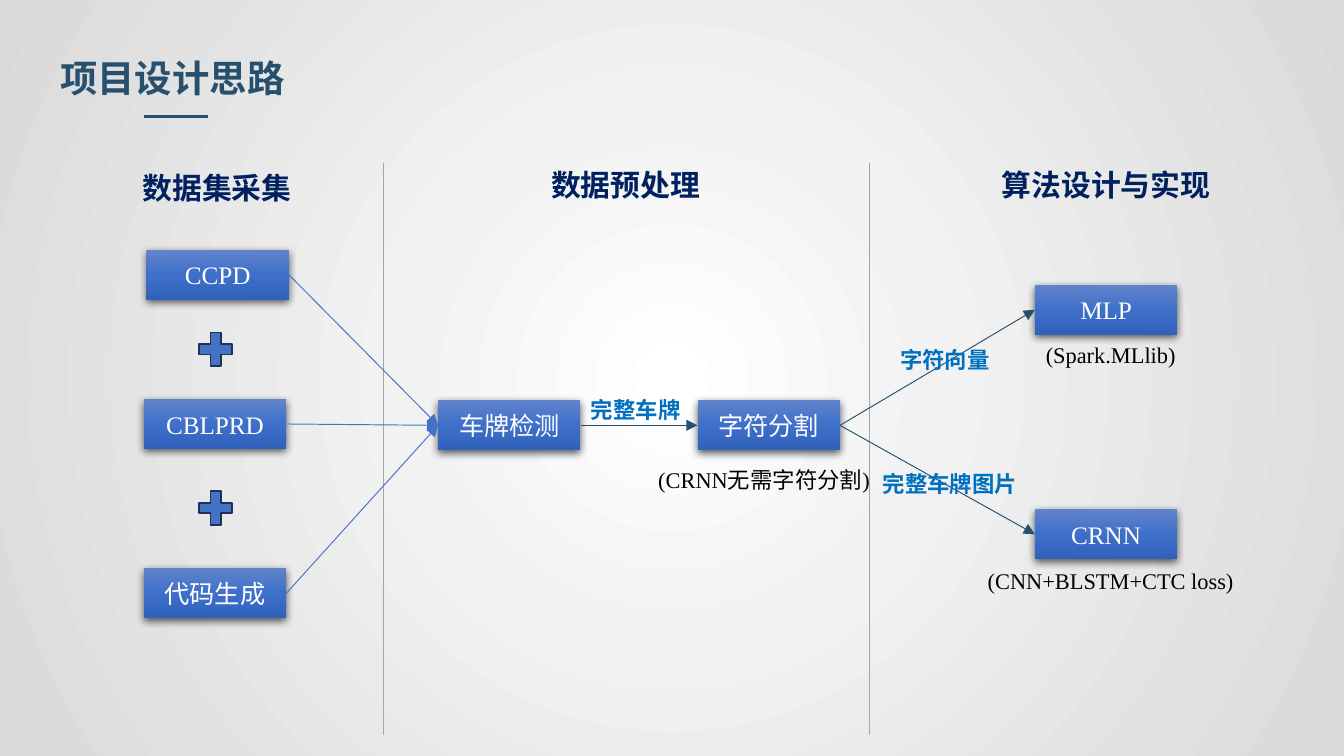
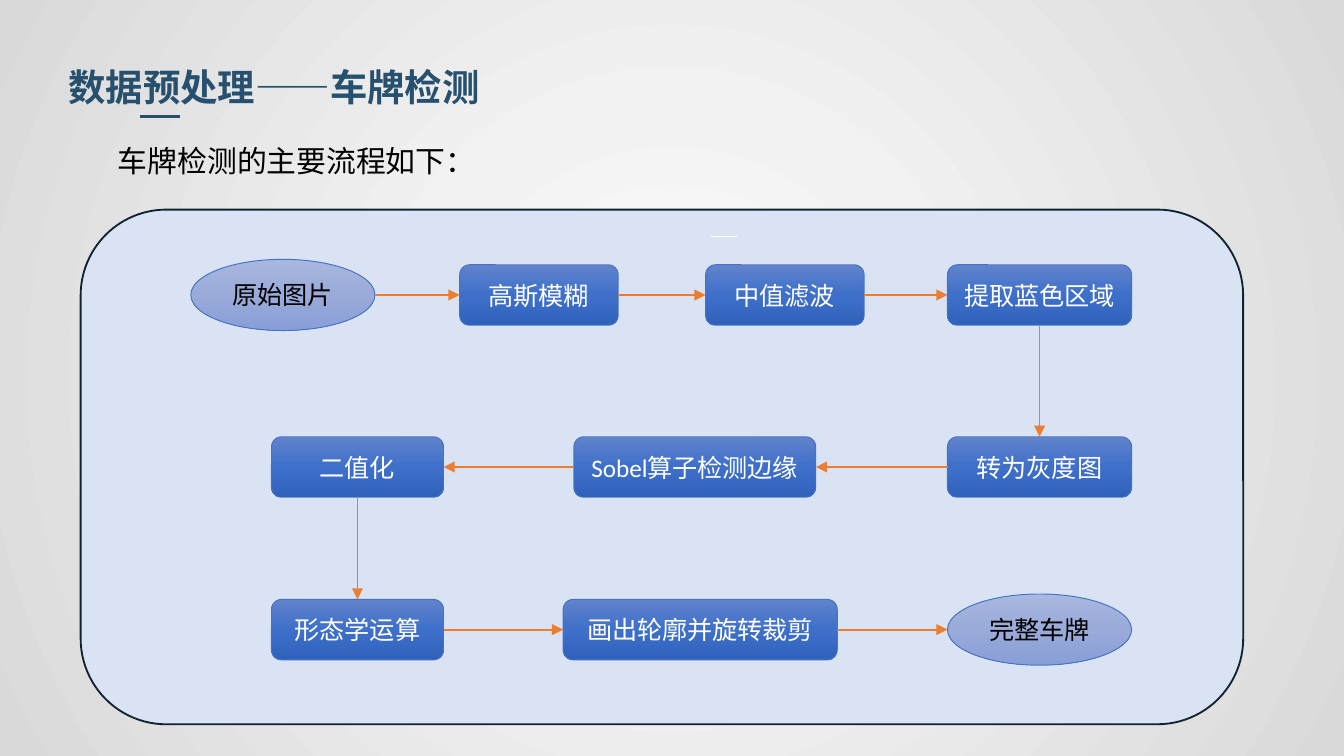
from dataclasses import dataclass
from itertools import pairwise

from pptx import Presentation
from pptx import util as u
from pptx.dml.color import RGBColor
from pptx.enum import shapes, text
from pptx.oxml import ns, parse_xml

SANS, SERIF, BODY = "Noto Sans CJK SC", "Times New Roman", "Calibri"
TEAL, NAVY, SKY = "27506E", "002060", "0070C0"
BLUE, GREY, ORANGE = "4472C4", "A5A5A5", "ED7D31"
BLACK, WHITE = "000000", "FFFFFF"
DEEP = [(0, "6183CB"), (50, "3E70CA"), (100, "3062BB")]
PALE = [(0, "A8B7DF"), (50, "9AABD9"), (100, "889ED7")]
PAGE = [(0, "FFFFFF"), (35, "F2F2F2"), (100, "D9D9D9")]
DOWN = '<a:lin ang="5400000" scaled="0"/>'
ROUND = ('<a:path path="circle"><a:fillToRect l="50000" t="50000" '
         'r="50000" b="50000"/></a:path>')
TOP, LEFT, BOTTOM, RIGHT = range(4)
KIND = shapes.MSO_SHAPE


@dataclass
class Style:
    size: float
    color: str
    face: str = SANS
    bold: bool = False
    center: bool = True


@dataclass
class Label:
    words: str
    x: float
    y: float
    w: float
    h: float
    style: Style


@dataclass
class Node:
    words: str
    x: float
    y: float
    w: float
    h: float
    oval: bool = False


TITLE = Style(20, TEAL, bold=True, center=False)
HEAD = Style(16, NAVY, bold=True)
LEAD = Style(16, BLACK, center=False)
NOTE = Style(12, BLACK, SERIF)
TAG = Style(12, SKY, bold=True)
SIDE = Style(12, SKY, bold=True, center=False)


def rgb(code: str) -> RGBColor:
    return RGBColor.from_string(code)


def inch(*sizes: float) -> list:
    return [u.Inches(size) for size in sizes]


def xml(tag: str, body: str = "", attrs: str = ""):
    return parse_xml(f'<a:{tag} {ns.nsdecls("a")} {attrs}>{body}</a:{tag}>')


def blend(fill, host, stops: list, shade: str) -> None:
    fill.solid()
    old = host.find(ns.qn("a:solidFill"))
    marks = "".join(f'<a:gs pos="{pos * 1000}"><a:srgbClr val="{code}"/></a:gs>'
                    for pos, code in stops)
    host.replace(old, xml("gradFill", f"<a:gsLst>{marks}</a:gsLst>{shade}",
                          'rotWithShape="1"'))


def write(frame, words: str, style: Style) -> None:
    frame.word_wrap = True
    para = frame.paragraphs[0]
    para.alignment = text.PP_ALIGN.CENTER if style.center else text.PP_ALIGN.LEFT
    run = para.add_run()
    run.text = words
    form = {"size": u.Pt(style.size), "bold": style.bold, "name": style.face}
    for key, value in form.items():
        setattr(run.font, key, value)
    run.font.color.rgb = rgb(style.color)
    latin = run.font._element.find(ns.qn("a:latin"))
    latin.addnext(xml("ea", attrs=f'typeface="{SANS}"'))


def label(slide, item: Label) -> None:
    box = slide.shapes.add_textbox(*inch(item.x, item.y, item.w, item.h))
    box.text_frame.auto_size = text.MSO_AUTO_SIZE.SHAPE_TO_FIT_TEXT
    write(box.text_frame, item.words, item.style)


def stroke(line, color: str, width: float) -> None:
    line.color.rgb = rgb(color)
    line.width = u.Pt(width)


def plain(slide, kind, spot: tuple, fill: str, edge: str) -> None:
    shape = slide.shapes.add_shape(kind, *inch(*spot))
    shape.shadow.inherit = False
    shape.fill.solid()
    shape.fill.fore_color.rgb = rgb(fill)
    stroke(shape.line, edge, 1)


def block(slide, kind, node: Node, style: Style, edge: bool):
    shape = slide.shapes.add_shape(kind, *inch(node.x, node.y, node.w, node.h))
    shape.shadow.inherit = False
    props = shape._element.spPr
    blend(shape.fill, props, PALE if node.oval else DEEP, DOWN)
    if edge:
        stroke(shape.line, BLUE, 0.5)
    else:
        shape.line.fill.background()
        glow = xml("outerShdw", '<a:srgbClr val="000000"><a:alpha val="63000"/></a:srgbClr>',
                   'blurRad="57150" dist="19050" dir="5400000" algn="ctr" rotWithShape="0"')
        props.find(ns.qn("a:effectLst")).append(glow)
    shape.text_frame.vertical_anchor = text.MSO_ANCHOR.MIDDLE
    write(shape.text_frame, node.words, style)
    return shape


def rule(slide, ends: list, color: str, width: float):
    line = slide.shapes.add_connector(shapes.MSO_CONNECTOR.STRAIGHT, *ends)
    stroke(line.line, color, width)
    line._element.spPr.append(xml("effectLst"))
    return line


def port(shape, side: int) -> tuple:
    x = {LEFT: 0, RIGHT: shape.width}.get(side, shape.width // 2)
    y = {TOP: 0, BOTTOM: shape.height}.get(side, shape.height // 2)
    return shape.left + x, shape.top + y


def link(slide, start, out: int, stop, into: int, color: str, width: float) -> None:
    line = rule(slide, [*port(start, out), *port(stop, into)], color, width)
    if start.auto_shape_type != KIND.OVAL:
        line.begin_connect(start, out)
    if stop.auto_shape_type != KIND.OVAL:
        line.end_connect(stop, into)
    edge = line._element.spPr.find(ns.qn("a:ln"))
    edge.append(xml("tailEnd", attrs='type="triangle"'))


def page(deck, title: str, x: float, y: float, bar: tuple):
    slide = deck.slides.add_slide(deck.slide_layouts[6])
    fill = slide.background.fill
    fill.solid()
    blend(fill, slide.element.find(".//" + ns.qn("p:bgPr")), PAGE, ROUND)
    label(slide, Label(title, x, y, 5, 0.44, TITLE))
    rule(slide, inch(bar[0], 0.87, bar[1], 0.87), TEAL, 1.5)
    return slide


def design(deck) -> None:
    slide = page(deck, "项目设计思路", 0.35, 0.36, (1.07, 1.55))
    for x in (2.85, 6.47):
        rule(slide, inch(x, 1.21, x, 5.47), GREY, 0.5)
    for y in (2.43, 3.61):
        plain(slide, KIND.MATH_PLUS, (1.44, y, 0.33, 0.34), BLUE, "1E3256")

    spots = [("CCPD", 1.09, 1.86), ("CBLPRD", 1.07, 2.97), ("代码生成", 1.07, 4.23),
             ("车牌检测", 3.26, 2.98), ("字符分割", 5.19, 2.98),
             ("MLP", 7.7, 2.12), ("CRNN", 7.7, 3.79)]
    cells = {}
    for words, x, y in spots:
        face = SANS if words == "代码生成" else SERIF
        cells[words] = block(slide, KIND.RECTANGLE, Node(words, x, y, 1.06, 0.37),
                             Style(13.5, WHITE, face), False)
    links = [("CCPD", "车牌检测", BLUE), ("CBLPRD", "车牌检测", BLUE),
             ("代码生成", "车牌检测", BLUE), ("车牌检测", "字符分割", TEAL),
             ("字符分割", "MLP", TEAL), ("字符分割", "CRNN", TEAL)]
    for start, stop, color in links:
        link(slide, cells[start], RIGHT, cells[stop], LEFT, color, 0.5)

    for item in (
        Label("数据集采集", 0.87, 1.21, 1.49, 0.37, HEAD),
        Label("数据预处理", 3.91, 1.19, 1.49, 0.37, HEAD),
        Label("算法设计与实现", 6.84, 1.19, 2.78, 0.37, HEAD),
        Label("(Spark.MLlib)", 6.6, 2.49, 3.33, 0.3, NOTE),
        Label("(CNN+BLSTM+CTC loss)", 6.6, 4.17, 3.33, 0.3, NOTE),
        Label("(CRNN无需字符分割)", 4.02, 3.42, 3.33, 0.3, NOTE),
        Label("完整车牌", 4.16, 2.9, 1.14, 0.3, TAG),
        Label("字符向量", 6.6, 2.53, 1.03, 0.3, SIDE),
        Label("完整车牌图片", 6.47, 3.45, 1.33, 0.3, SIDE),
    ):
        label(slide, item)


def detect(deck) -> None:
    slide = page(deck, "数据预处理——车牌检测", 0.41, 0.43, (1.04, 1.34))
    label(slide, Label("车牌检测的主要流程如下：", 0.78, 1.01, 4.14, 0.37, LEAD))
    plain(slide, KIND.ROUNDED_RECTANGLE, (0.6, 1.56, 8.65, 3.83), "DAE3F3", "112330")
    rule(slide, inch(5.29, 1.76, 5.48, 1.76), WHITE, 1)

    tall = 0.45
    one, two, three = 1.97, 3.25, 4.46
    steps = [
        Node("原始图片", 1.42, one - 0.04, 1.37, 0.53, True),
        Node("高斯模糊", 3.42, one, 1.18, tall),
        Node("中值滤波", 5.25, one, 1.18, tall),
        Node("提取蓝色区域", 7.05, one, 1.37, tall),
        Node("转为灰度图", 7.05, two, 1.37, tall),
        Node("Sobel算子检测边缘", 4.27, two, 1.8, tall),
        Node("二值化", 2.02, two, 1.28, tall),
        Node("形态学运算", 2.02, three, 1.28, tall),
        Node("画出轮廓并旋转裁剪", 4.19, three, 2.04, tall),
        Node("完整车牌", 7.05, three - 0.04, 1.37, 0.53, True),
    ]
    cells = []
    for step in steps:
        kind = KIND.OVAL if step.oval else KIND.ROUNDED_RECTANGLE
        style = Style(13.5, BLACK if step.oval else WHITE, BODY)
        cells.append(block(slide, kind, step, style, True))
    for start, stop in pairwise(cells):
        if start.left == stop.left:
            sides = BOTTOM, TOP
        elif start.left < stop.left:
            sides = RIGHT, LEFT
        else:
            sides = LEFT, RIGHT
        link(slide, start, sides[0], stop, sides[1], ORANGE, 1)


def main() -> None:
    deck = Presentation()
    deck.slide_width = u.Inches(10)
    deck.slide_height = u.Inches(10 * 9 / 16)
    design(deck)
    detect(deck)
    deck.save("out.pptx")


if __name__ == "__main__":
    main()
